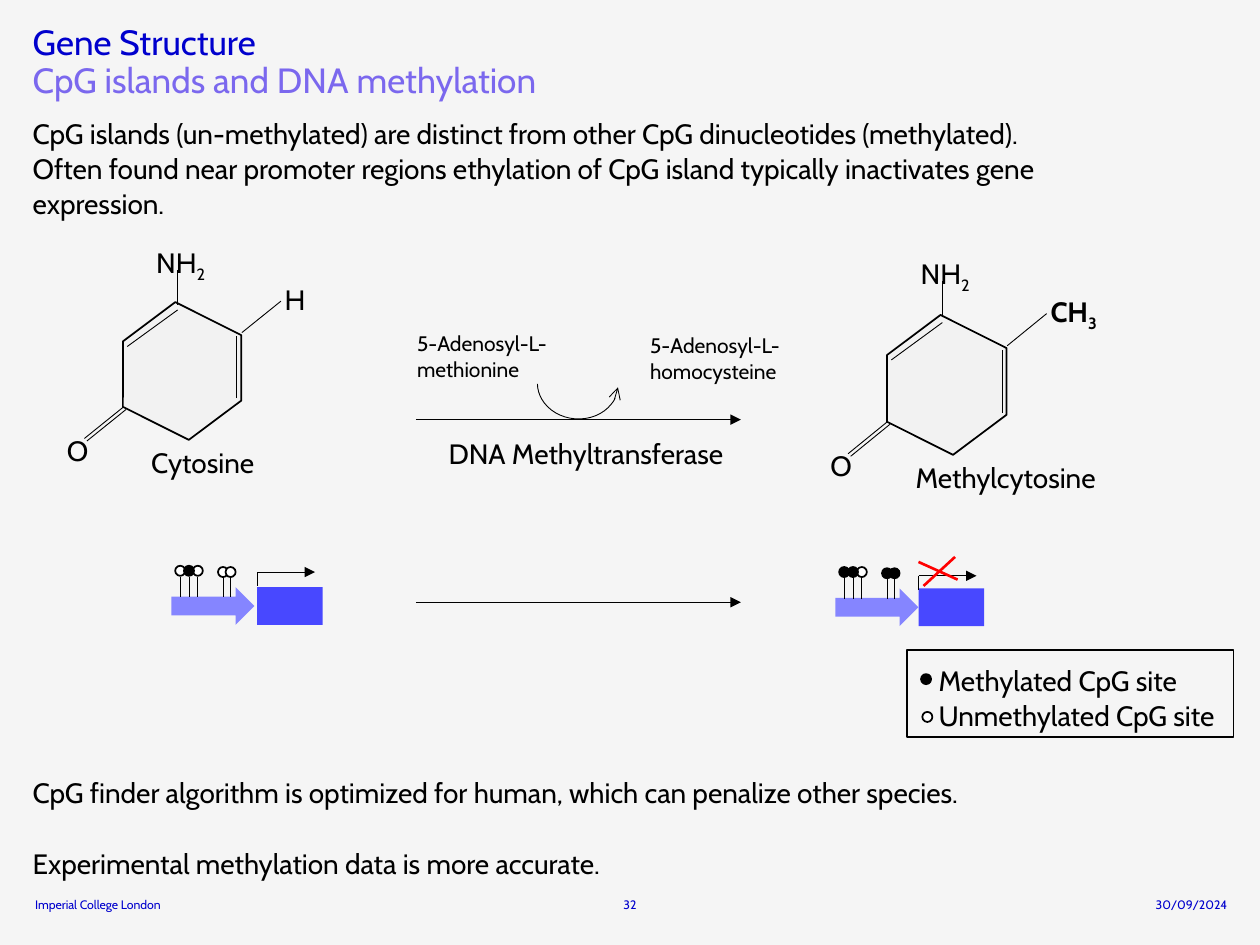
from dataclasses import dataclass

from lxml import etree
from pptx import Presentation
from pptx.dml.color import RGBColor
from pptx.enum.shapes import MSO_CONNECTOR, MSO_SHAPE
from pptx.enum.text import MSO_ANCHOR, MSO_AUTO_SIZE, PP_ALIGN
from pptx.oxml.ns import qn
from pptx.util import Inches, Pt

STRAIGHT = MSO_CONNECTOR.STRAIGHT
HEX, OVAL, RECT = MSO_SHAPE.HEXAGON, MSO_SHAPE.OVAL, MSO_SHAPE.RECTANGLE
ARROW, ARC = MSO_SHAPE.RIGHT_ARROW, MSO_SHAPE.ARC
TOP, BOTTOM = MSO_ANCHOR.TOP, MSO_ANCHOR.BOTTOM
LEFT, MID, RIGHT = PP_ALIGN.LEFT, PP_ALIGN.CENTER, PP_ALIGN.RIGHT
FIXED = MSO_AUTO_SIZE.NONE

FONT = "Cabin"
BLACK, WHITE, PAPER, RING = "000000", "FFFFFF", "F5F5F5", "F2F2F2"
NAVY, VIOLET, RED = "0000CD", "7B68EE", "FF0000"
PALE, DEEP = "8585FF", "4848FF"
THIN, BOLD = 0.5, 1

# The slide is a grid of 100 columns by 75 rows of square cells.
prs = Presentation()
prs.slide_width, prs.slide_height = Inches(10), Inches(7.5)
CELL = prs.slide_width / 100
slide = prs.slides.add_slide(prs.slide_layouts[5])


@dataclass
class Box:
    x: float
    y: float
    w: float
    h: float

    def emu(self) -> list[int]:
        return [round(v * CELL) for v in (self.x, self.y, self.w, self.h)]


@dataclass
class Mol:
    """Position and stretch of a molecule, with its side group and name."""
    x: float
    y: float
    sx: float
    sy: float
    side: str
    sub: str
    wide: float
    name: str
    long: float

    def at(self, x: float, y: float) -> tuple[float, float]:
        return self.x + x * self.sx, self.y + y * self.sy


@dataclass
class Gene:
    x: float
    y: float
    gap: float
    rise: float
    sites: str


def rgb(code: str) -> RGBColor:
    return RGBColor.from_string(code)


def write(shape, lines: list[str], size: float = 16, color: str = BLACK,
          lead: float = 1.05, align=LEFT, anchor=TOP, wrap: bool = False,
          gap: float = 0, bold: bool = False, sub: str = "") -> None:
    frame = shape.text_frame
    frame.text = "\n".join(lines)
    frame.auto_size, frame.word_wrap = FIXED, wrap
    frame.vertical_anchor = anchor
    frame.margin_left = frame.margin_right = 0
    frame.margin_top = frame.margin_bottom = 0
    if sub:
        run = frame.paragraphs[-1].add_run()
        run.text = sub
        run.font._element.set("baseline", "-25000")
    for i, para in enumerate(frame.paragraphs):
        para.alignment, para.line_spacing = align, lead
        para.space_before = Pt(gap if i else 0)
        for run in para.runs:
            run.font.name, run.font.size = FONT, Pt(size)
            run.font.bold, run.font.color.rgb = bold, rgb(color)


def label(box: Box, *lines: str, **style) -> None:
    write(slide.shapes.add_textbox(*box.emu()), list(lines), **style)


def tip(item, end: str, kind: str) -> None:
    """Put an arrowhead on the headEnd or tailEnd of a line."""
    ln = item.line._get_or_add_ln()
    etree.SubElement(ln, qn("a:" + end)).set("type", kind)


def line(x1: float, y1: float, x2: float, y2: float, color: str = BLACK,
         width: float = THIN, arrow: bool = False) -> None:
    ends = [round(v * CELL) for v in (x1, y1, x2, y2)]
    item = slide.shapes.add_connector(STRAIGHT, *ends)
    item.line.color.rgb, item.line.width = rgb(color), Pt(width)
    etree.SubElement(item._element.spPr, qn("a:effectLst"))
    if arrow:
        tip(item, "tailEnd", "triangle")


def draw(kind, box: Box, fill: str = "", edge: float = 0, turn: float = 0):
    item = slide.shapes.add_shape(kind, *box.emu())
    item.shadow.inherit = False
    item.rotation = turn
    if fill:
        item.fill.solid()
        item.fill.fore_color.rgb = rgb(fill)
    else:
        item.fill.background()
    if edge:
        item.line.color.rgb, item.line.width = rgb(BLACK), Pt(edge)
    else:
        item.line.fill.background()
    return item


def site(x: float, y: float, full: bool) -> None:
    draw(OVAL, Box(x, y, 0.8, 0.8), BLACK if full else WHITE, BOLD)


BONDS = [(4.8, 8.2, 8.8, 5.3), (13.5, 12.3, 13.5, 7.4),
         (1.4, 15.5, 4.5, 13), (1.6, 15.7, 4.7, 13.2),
         (8.8, 4.9, 8.8, 2.1), (13.9, 7.1, 17, 4.6)]


def molecule(mol: Mol) -> None:
    draw(HEX, Box(*mol.at(3.9, 5.5), 10.5 * mol.sx, 9.3 * mol.sy),
         RING, BOLD, 26.6)
    for x1, y1, x2, y2 in BONDS:
        line(*mol.at(x1, y1), *mol.at(x2, y2))
    label(Box(*mol.at(0, 15), 1.8, 2.8), "O")
    label(Box(*mol.at(7.1, 0), 4, 2.8), "NH", sub="2")
    label(Box(*mol.at(17.3, 3), mol.wide, 2.8), mol.side,
          bold=bool(mol.sub), sub=mol.sub)
    label(Box(*mol.at(6.7, 15.9), mol.long, 2.8), mol.name)


STEMS = [(0.7, 0), (1.4, 0), (2.1, 0), (4.1, 0.1), (4.7, 0.1)]
STACK = [0, 2, 3, 4, 1]  # back to front


def gene(g: Gene) -> None:
    """Draw a promoter arrow with its CpG sites, then the gene and its start."""
    draw(ARROW, Box(g.x, g.y, 6.6, 3), PALE)
    for x, _ in STEMS:
        line(g.x + x, g.y - 0.8, g.x + x, g.y + 0.8)
    for i in STACK:
        x, drop = STEMS[i]
        site(g.x + x - 0.4, g.y - 1.7 + drop, g.sites[i] == "M")
    left, top = g.x + g.gap, g.y - g.rise
    draw(RECT, Box(left, g.y, 5.2, 3), DEEP)
    line(left, top, left + 4.6, top, arrow=True)
    line(left, top, left, top + 1.1)


def heads() -> None:
    title, box = slide.shapes.title, Box(2.6, 2, 94.8, 3.1)
    title.left, title.top, title.width, title.height = box.emu()
    write(title, ["Gene Structure"], 20, NAVY, 0.9, wrap=True)
    label(Box(2.6, 5, 94.8, 4.1), "CpG islands and DNA methylation",
          size=20, color=VIOLET, lead=0.9, wrap=True)
    label(Box(2.6, 9.1, 88.6, 7.9),
          "CpG islands (un-methylated) are distinct from other CpG "
          "dinucleotides (methylated).",
          "Often found near promoter regions ethylation of CpG island "
          "typically inactivates gene expression.", wrap=True)
    label(Box(2.6, 61.4, 74, 8.5),
          "CpG finder algorithm is optimized for human, which can penalize "
          "other species.",
          "Experimental methylation data is more accurate.", gap=20.3)
    for x, wide, text, align in [(2.8, 11.6, "Imperial College London", LEFT),
                                 (48.7, 2.6, "32", MID),
                                 (74.9, 22.5, "30/09/2024", RIGHT)]:
        label(Box(x, 70.9, wide, 1.5), text, size=7, color=NAVY, lead=1,
              align=align, anchor=BOTTOM)


def react() -> None:
    for y in (33.3, 47.8):
        line(33, y, 58.8, y, arrow=True)
    label(Box(35.6, 34.5, 21.8, 3.2), "DNA Methyltransferase")
    label(Box(33.1, 26.1, 12.8, 4.6), "5-Adenosyl-L-methionine",
          size=12, wrap=True)
    label(Box(51.6, 26.3, 12, 5.7), "5-Adenosyl-L-homocysteine",
          size=12, wrap=True)
    arc = draw(ARC, Box(43.1, 27.3, 5.5, 6.4), edge=THIN, turn=94.3)
    arc.adjustments[0], arc.adjustments[1] = 162, 51.794
    tip(arc, "headEnd", "arrow")


def legend() -> None:
    label(Box(74.5, 52.5, 23.4, 5.5),
          "Methylated CpG site", "Unmethylated CpG site")
    site(73.1, 53.5, True)
    site(73.2, 56.5, False)
    draw(RECT, Box(72, 51.6, 25.9, 6.9), edge=BOLD)


def main() -> None:
    back = slide.background.fill
    back.solid()
    back.fore_color.rgb = rgb(PAPER)
    heads()
    molecule(Mol(5.3, 19.3, 1, 1, "H", "", 1.8, "Cytosine", 8.4))
    molecule(Mol(65.9, 20.2, 1.01, 1.02, "CH", "3", 3.9,
                 "Methylcytosine", 14.5))
    react()
    gene(Gene(13.6, 46.6, 6.8, 1.2, "UMUUU"))
    gene(Gene(66.3, 46.7, 6.6, 1, "MMUMM"))
    legend()
    line(72.9, 44.6, 76, 46, RED, 1.5)
    line(75.8, 44.2, 73.3, 46.5, RED, 1.5)
    prs.save("out.pptx")


if __name__ == "__main__":
    main()
